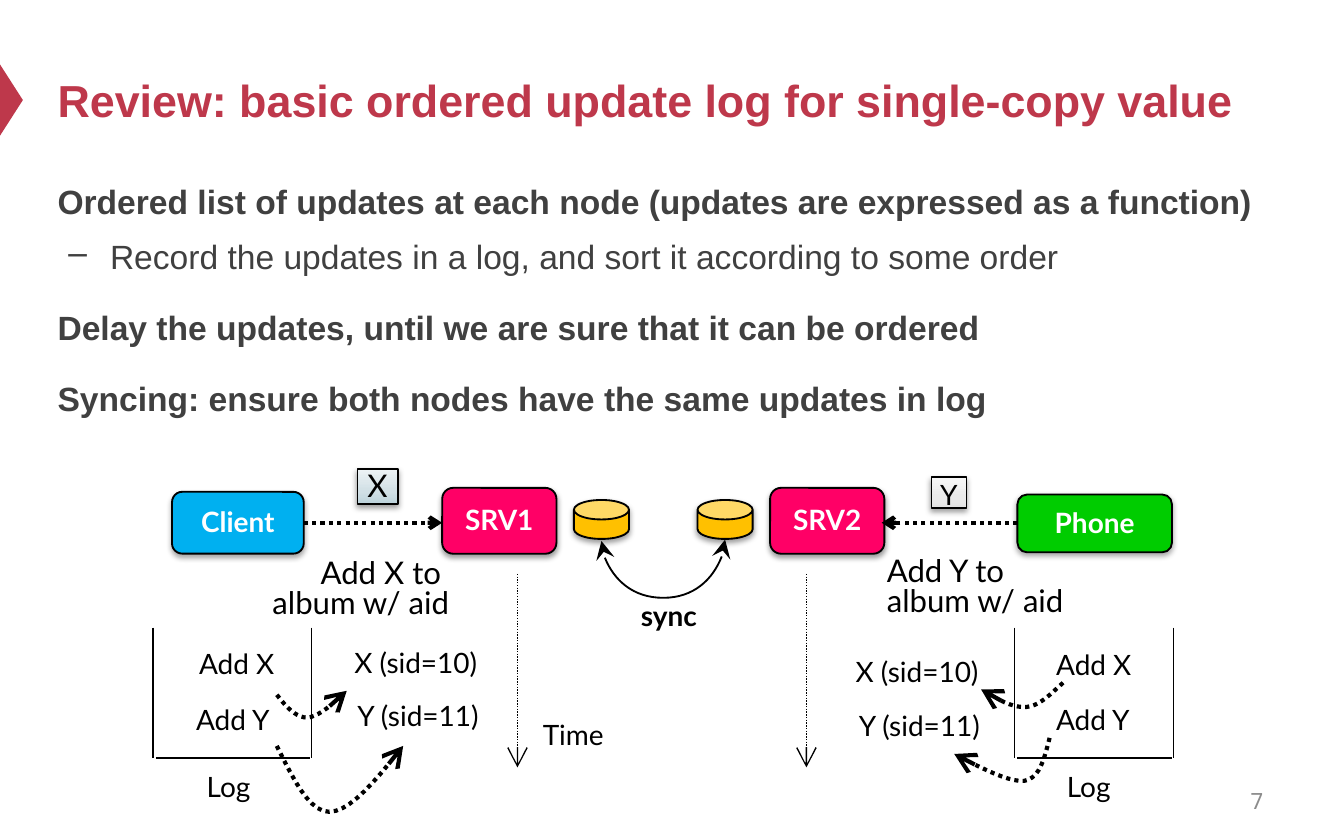
from copy import deepcopy

from lxml import etree
from pptx import Presentation
from pptx.dml.color import RGBColor
from pptx.enum.dml import MSO_LINE
from pptx.enum.shapes import MSO_CONNECTOR, MSO_SHAPE
from pptx.enum.text import MSO_ANCHOR, MSO_AUTO_SIZE, PP_ALIGN
from pptx.oxml.ns import qn
from pptx.util import Pt

PX = 9144  # EMU in one px, 100 px to the inch
DOTTED = MSO_LINE.ROUND_DOT
STRAIGHT, CURVED = MSO_CONNECTOR.STRAIGHT, MSO_CONNECTOR.CURVE
RECT, ROUNDED = MSO_SHAPE.RECTANGLE, MSO_SHAPE.ROUNDED_RECTANGLE
CAN, TRIANGLE = MSO_SHAPE.CAN, MSO_SHAPE.ISOSCELES_TRIANGLE
LEFT, CENTER, RIGHT = PP_ALIGN.LEFT, PP_ALIGN.CENTER, PP_ALIGN.RIGHT
TOP, MIDDLE = MSO_ANCHOR.TOP, MSO_ANCHOR.MIDDLE
FIT_SHAPE = MSO_AUTO_SIZE.SHAPE_TO_FIT_TEXT

RED, GREY, BLACK, WHITE = "BE384B", "404040", "000000", "FFFFFF"
CURVE_STEPS = 10


def px(*lengths):
    return [round(length * PX) for length in lengths]


def rgb(code):
    return RGBColor.from_string(code)


def style_para(para, size, color, font="Lato", bold=False, align=LEFT, spacing=None):
    para.alignment = align
    para.line_spacing = spacing
    for span in para.runs:
        span.font.size, span.font.bold = Pt(size), bold
        span.font.name, span.font.color.rgb = font, rgb(color)


def add_text(shapes, at, text, size, color, font="Lato", bold=False,
             align=LEFT, anchor=MIDDLE):
    """Text that wraps inside a fixed box."""
    frame = shapes.add_textbox(*px(*at)).text_frame
    frame.word_wrap, frame.vertical_anchor = True, anchor
    frame.text = text
    for para in frame.paragraphs:
        style_para(para, size, color, font, bold, align)
    return frame


def add_label(shapes, at, text, size=15, bold=False, align=LEFT, spacing=0.8):
    """Diagram label whose box grows with its text."""
    frame = shapes.add_textbox(*px(*at)).text_frame
    frame.word_wrap, frame.auto_size = False, FIT_SHAPE
    para = frame.paragraphs[0]
    para.text = text
    style_para(para, size, BLACK, bold=bold, align=align, spacing=spacing)


def style_line(line, width, dash=None):
    line.color.rgb, line.width = rgb(BLACK), Pt(width)
    if dash:
        line.dash_style = dash


def add_arrowheads(shape, size="med", **ends):
    outline = shape.element.spPr.find(qn("a:ln"))
    for end, kind in ends.items():
        etree.SubElement(outline, qn("a:" + end), type=kind, w=size, len=size)


def add_line(shapes, start, end, width=0.75, dash=None, kind=STRAIGHT, size="med", **ends):
    line = shapes.add_connector(kind, *px(*start, *end))
    style_line(line.line, width, dash)
    add_arrowheads(line, size, **ends)
    etree.SubElement(line.element.spPr, qn("a:effectLst"))
    return line


def add_shadow(shape, alpha):
    shape.shadow.inherit = False
    effects = shape.element.spPr.find(qn("a:effectLst"))
    shadow = etree.SubElement(effects, qn("a:outerShdw"), blurRad=str(Pt(3.1)),
                              dist=str(Pt(1.6)), dir="5400000", rotWithShape="0")
    color = etree.SubElement(shadow, qn("a:srgbClr"), val=BLACK)
    etree.SubElement(color, qn("a:alpha"), val=str(alpha * 1000))


def fill_gradient(shape, colors):
    shape.fill.gradient()
    shape.fill.gradient_angle = 90
    stop_list = shape.element.spPr.find(qn("a:gradFill")).find(qn("a:gsLst"))
    stop_list.append(deepcopy(stop_list[0]))
    for stop, place, color in zip(shape.fill.gradient_stops, (0, 0.35, 1), colors):
        stop.position, stop.color.rgb = place, rgb(color)


def add_block(shapes, kind, at, fill, alpha=38, width=1):
    """Outlined shape with a soft shadow; three fill colours make a gradient."""
    block = shapes.add_shape(kind, *px(*at))
    if isinstance(fill, str):
        block.fill.solid()
        block.fill.fore_color.rgb = rgb(fill)
    else:
        fill_gradient(block, fill)
    style_line(block.line, width)
    add_shadow(block, alpha)
    return block


def set_block_text(block, text, size, color, insets, bold=False, spacing=None):
    frame = block.text_frame
    frame.word_wrap, frame.vertical_anchor = False, MIDDLE
    (frame.margin_left, frame.margin_top,
     frame.margin_right, frame.margin_bottom) = px(*insets)
    frame.text = text
    style_para(frame.paragraphs[0], size, color, bold=bold, align=CENTER, spacing=spacing)


def add_node(shapes, at, text, fill, alpha):
    block = add_block(shapes, ROUNDED, at, fill, alpha)
    set_block_text(block, text, 15, WHITE, (0, 3, 0, 5), bold=True)


def add_update(shapes, at, text, size, colors, top_inset, width):
    block = add_block(shapes, RECT, at, colors, width=width)
    set_block_text(block, text, size, BLACK, (3, top_inset, 3, 0), spacing=0.8)


def bezier(points, t):
    """Point at t on a cubic curve."""
    weights = ((1 - t) ** 3, 3 * t * (1 - t) ** 2, 3 * t * t * (1 - t), t ** 3)
    return [sum(w * p[axis] for w, p in zip(weights, points)) for axis in (0, 1)]


def add_dotted_curve(shapes, points):
    """Two joined cubic curves, given by seven points, with an arrow at the end."""
    track = [px(*bezier(points[first:first + 4], step / CURVE_STEPS))
             for first in (0, 3) for step in range(1, CURVE_STEPS + 1)]
    builder = shapes.build_freeform(*px(*points[0]), scale=1.0)
    builder.add_line_segments(track, close=False)
    curve = builder.convert_to_shape()
    curve.fill.background()
    curve.shadow.inherit = False
    style_line(curve.line, 2.25, DOTTED)
    add_arrowheads(curve, "lg", tailEnd="arrow")


def add_log_frame(shapes, left):
    """Open-topped log frame."""
    frame = shapes.add_group_shape().shapes
    for x in (left, left + 118):
        add_line(frame, (x, 467), (x, 564))
    add_line(frame, (left + 2, 564), (left + 117, 564))


def add_body(shapes):
    text = "\n".join((
        "Ordered list of updates at each node (updates are expressed as a function)",
        "Record the updates in a log, and sort it according to some order",
        "Delay the updates, until we are sure that it can be ordered",
        "Syncing: ensure both nodes have the same updates in log"))
    frame = add_text(shapes, (33, 124, 955, 283), text, 18, GREY, "Arial", True, anchor=TOP)
    for para in frame.paragraphs:
        para.line_spacing, para.space_before = 1.2, Pt(12)
    detail = frame.paragraphs[1]
    detail.level, detail.space_before = 1, Pt(3.6)
    detail.runs[0].font.bold = False
    properties = detail._p.get_or_add_pPr()
    margin, indent = px(39, -31)
    properties.set("marL", str(margin))
    properties.set("indent", str(indent))
    etree.SubElement(properties, qn("a:buChar"), char="–")


def add_servers(shapes):
    # Updates on their way
    add_update(shapes, (266, 349, 30, 26), "X", 16.7, ("BDD3DB", "D1DFE5", "EDF3F5"), 3, 1)
    add_update(shapes, (693, 355, 26, 23), "Y", 15, ("E2E2E2", "EAEAEA", "F7F7F7"), 7, 0.75)
    add_label(shapes, (650, 411, 158, 55), "Add Y to\nalbum w/ aid", 16.7)
    add_label(shapes, (186, 412, 158, 55), "Add X to \nalbum w/ aid", 16.7, align=RIGHT)

    # Sync curve, a quarter turn of a curved connector that swings 44 px out
    sync = add_line(shapes, (493, 356), (494, 448), 1, kind=CURVED, size="lg",
                    headEnd="stealth", tailEnd="stealth")
    sync.element.spPr.find(qn("a:xfrm")).set("rot", "5400000")
    guides = sync.element.spPr.find(qn("a:prstGeom")).get_or_add_avLst()
    etree.SubElement(guides, qn("a:gd"), name="adj1", fmla="val 4400000")
    add_label(shapes, (467, 445, 62, 31), "sync", bold=True)

    # Nodes, stores and the arrows between them
    for left in (427, 519):
        add_block(shapes, CAN, (left, 372, 41, 29), "FFC000").adjustments[0] = 0.5
    for at, text, fill, alpha in (((329, 363, 85, 49), "SRV1", "FF0066", 38),
                                  ((573, 363, 85, 49), "SRV2", "FF0066", 38),
                                  ((128, 366, 98, 46), "Client", "00B0F0", 35),
                                  ((757, 368, 115, 43), "Phone", "00CC00", 35)):
        add_node(shapes, at, text, fill, alpha)
    for start, end in ((226, 329), (757, 656)):
        add_line(shapes, (start, 389), (end, 389), 2.25, DOTTED, tailEnd="arrow")

    # Time axes
    for x in (385, 600):
        add_line(shapes, (x, 427), (x, 571), 0.75, DOTTED, size="lg", tailEnd="arrow")
    add_label(shapes, (394, 529, 72, 35), "Time", spacing=None)


def add_logs(shapes):
    for frame_left, label_left in ((114, 144), (755, 784)):
        add_log_frame(shapes, frame_left)
        add_label(shapes, (label_left, 568, 56, 35), "Log", spacing=None)
    for at, text, align in (((136, 481, 78, 31), "Add X", RIGHT),
                            ((134, 523, 81, 31), "Add Y ", RIGHT),
                            ((776, 482, 78, 31), "Add X", LEFT),
                            ((776, 523, 76, 31), "Add Y", LEFT)):
        add_label(shapes, at, text, align=align)
    for left, top in ((252, 480), (625, 487)):
        add_label(shapes, (left, top, 113, 31), "X (sid=10)", align=RIGHT)
        add_label(shapes, (left + 2, top + 40, 112, 31), "Y (sid=11)", align=RIGHT)

    # Arrows from log entries to ordered updates
    for points in (
            ((206, 555), (218, 579), (230, 604), (245, 604), (261, 604), (281, 579), (300, 555)),
            ((206, 517), (213, 526), (220, 534), (229, 534), (237, 533), (248, 524), (258, 514)),
            ((791, 508), (782, 516), (774, 525), (764, 526), (753, 527), (742, 520), (730, 513)),
            ((781, 549), (777, 564), (774, 579), (762, 581), (751, 582), (731, 572), (710, 561))):
        add_dotted_curve(shapes, points)


def main():
    deck = Presentation()
    deck.slide_width, deck.slide_height = px(1000, 625)
    page = deck.slides.add_slide(deck.slide_layouts[6])
    shapes = page.shapes

    # Title marker, title, body and page number
    marker = shapes.add_shape(TRIANGLE, *px(-18, 66, 53, 17))
    marker.rotation = 90
    marker.fill.solid()
    marker.fill.fore_color.rgb = rgb(RED)
    marker.line.fill.background()
    marker.shadow.inherit = False
    add_text(shapes, (33, 25, 900, 98),
             "Review: basic ordered update log for single-copy value", 24, RED, "Arial", True)
    add_body(shapes)
    add_text(shapes, (717, 579, 233, 33), "7", 12, "8C8C8C", "Noto Sans Mono", align=RIGHT)

    add_servers(shapes)
    add_logs(shapes)
    deck.save("out.pptx")


if __name__ == "__main__":
    main()
